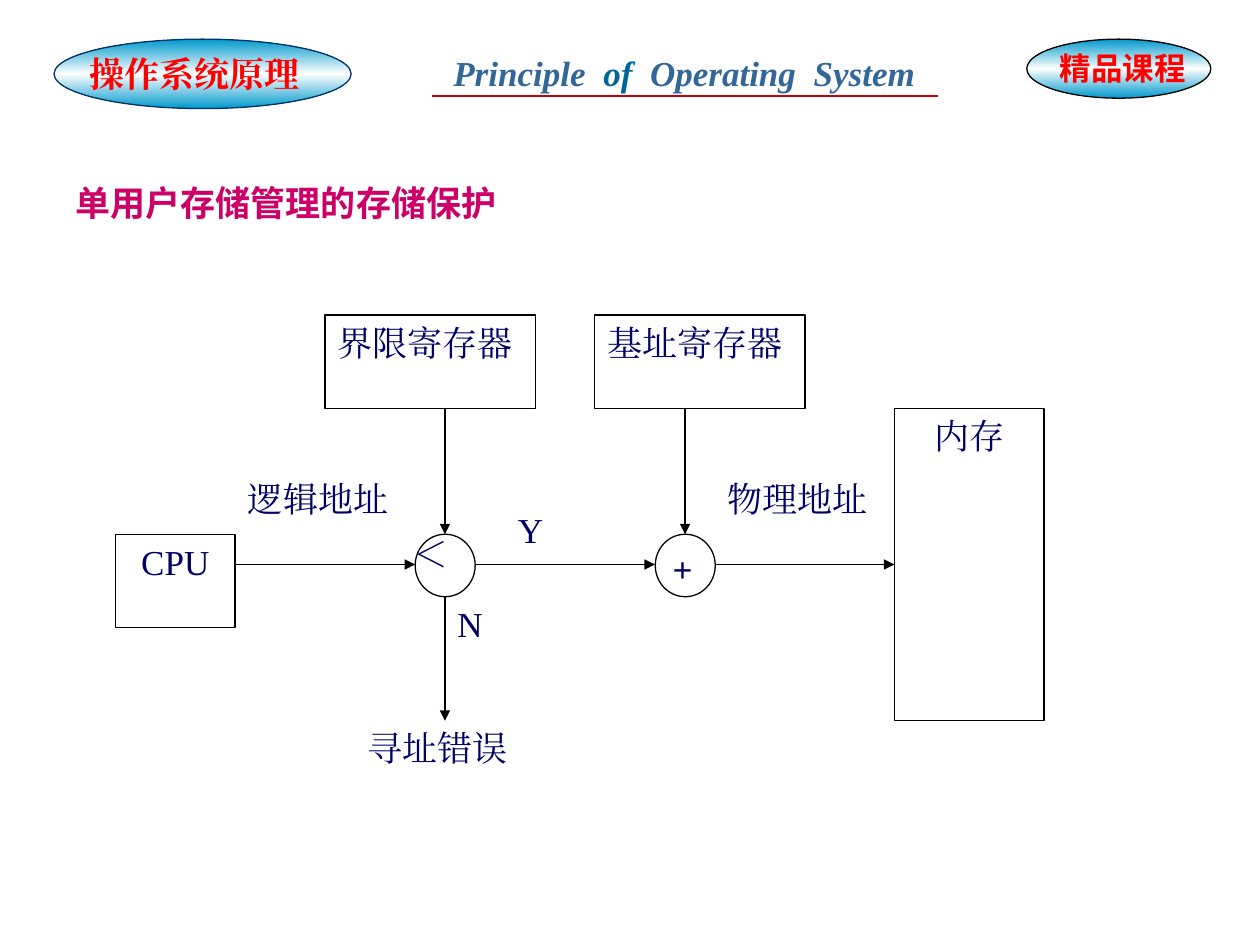
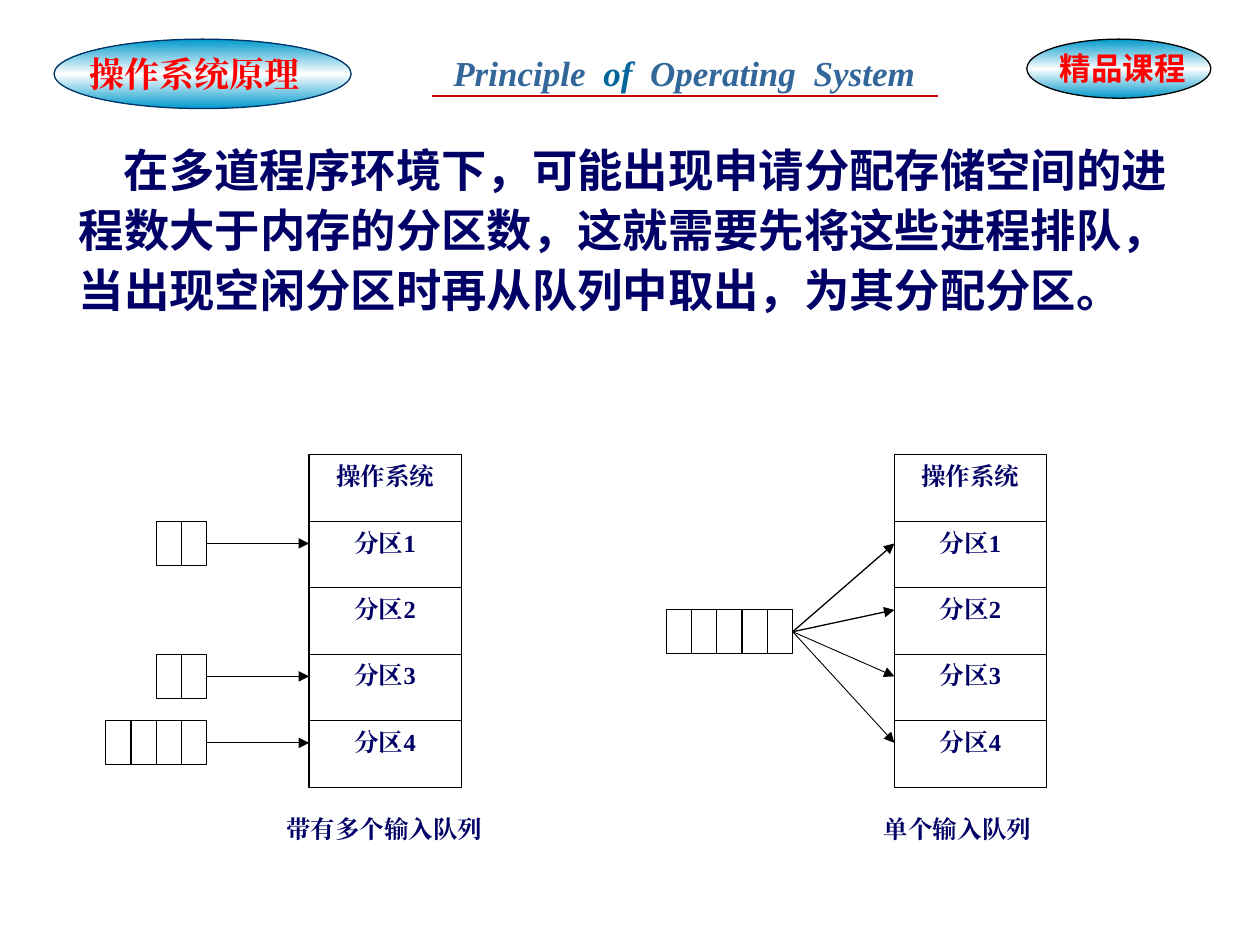
"""Build two slides on storage protection and partition queues."""
from copy import deepcopy

from lxml.etree import SubElement
from pptx import Presentation
from pptx.dml.color import RGBColor
from pptx.enum.shapes import MSO_CONNECTOR, MSO_SHAPE
from pptx.enum.text import MSO_ANCHOR, PP_ALIGN
from pptx.oxml.ns import qn
from pptx.util import Cm, Pt

NAVY, BLACK, RED, PINK = "000066", "000000", "FF0000", "CC0066"
AQUA, WHITE, STEEL, TEAL = "0099CC", "FFFFFF", "336699", "006699"
SERIF, SANS = "Times New Roman", "Noto Sans CJK SC"
ROW, CELL, DEEP = 1.34, 0.51, 0.89
TOP = 9.17


def tint(code):
    return RGBColor.from_string(code)


class Deck:
    def __init__(self):
        self.show = Presentation()
        self.show.slide_width, self.show.slide_height = Cm(25.4), Cm(19.05)
        self.slide = None

    def start(self, layout):
        self.slide = self.show.slides.add_slide(self.show.slide_layouts[layout])
        self.header()

    def style(self, run, size=20, color=NAVY, bold=False, face=SERIF, slant=False):
        font = run.font
        font.size, font.name = Pt(size), face
        font.bold, font.italic = bold, slant
        font.color.rgb = tint(color)
        SubElement(run._r.get_or_add_rPr(), qn("a:ea")).set("typeface", face)

    def fill_text(self, shape, text, align=PP_ALIGN.LEFT, **look):
        frame = shape.text_frame
        frame.text = text
        frame.word_wrap = True
        frame.vertical_anchor = MSO_ANCHOR.TOP
        para = frame.paragraphs[0]
        para.alignment = align
        for run in para.runs:
            self.style(run, **look)
        return para

    def label(self, text, x, y, w=3.63, h=1.88, **look):
        box = self.slide.shapes.add_textbox(Cm(x), Cm(y), Cm(w), Cm(h))
        return self.fill_text(box, text, **look)

    def shape(self, x, y, w, h, kind=MSO_SHAPE.RECTANGLE, edge=BLACK):
        item = self.slide.shapes.add_shape(kind, Cm(x), Cm(y), Cm(w), Cm(h))
        item.shadow.inherit = False
        item.fill.background()
        item.line.color.rgb = tint(edge)
        item.line.width = Pt(0.75)
        return item

    def box(self, text, x, y, w, h, align=PP_ALIGN.CENTER, **look):
        self.fill_text(self.shape(x, y, w, h), text, align, **look)

    def badge(self, x, y, w, h, edge):
        fill = self.shape(x, y, w, h, MSO_SHAPE.OVAL, edge).fill
        fill.gradient()
        fill.gradient_angle = 90
        first, last = fill.gradient_stops
        first.position, last.position = 0, 0.5
        first.color.rgb, last.color.rgb = tint(AQUA), tint(WHITE)
        end = deepcopy(first._gs)
        end.set("pos", "100000")
        last._gs.addnext(end)

    def line(self, start, end, color=BLACK, width=0.75, arrow=True):
        link = self.slide.shapes.add_connector(
            MSO_CONNECTOR.STRAIGHT, *map(Cm, start + end))
        link.line.color.rgb = tint(color)
        link.line.width = Pt(width)
        if arrow:
            SubElement(link.line._get_or_add_ln(), qn("a:tailEnd")).set("type", "triangle")
        SubElement(link._element.spPr, qn("a:effectLst"))

    def header(self):
        self.badge(1.09, 0.79, 5.99, 1.4, "003366")
        self.label("操作系统原理", 1.55, 0.94, 5.2, 1.12, color=RED, bold=True)
        para = self.label("", 8.89, 0.91, 10.3, 1.12)
        for word in ("Principle", " ", "of", " ", "Operating", " ", "System"):
            run = para.add_run()
            run.text = word
            self.style(run, color=TEAL if word == "of" else STEEL, bold=True, slant=True)
            if word == " ":
                run.font._element.set("spc", "500")
        self.line((8.71, 1.93), (18.9, 1.93), "CC0000", 1, False)
        self.badge(20.7, 0.79, 3.71, 1.19, BLACK)
        self.label("精品课程", 21.11, 0.86, 3.51, 1.02,
                   size=18, color=RED, bold=True, face="Arial")

    def title(self, text):
        head = self.slide.shapes.title
        head.left, head.top, head.width, head.height = map(Cm, (1.27, 3.53, 22.86, 3.51))
        self.fill_text(head, text, color=PINK, bold=True, face="Noto Sans CJK JP")

    def stack(self, x):
        names = ["操作系统"] + [f"分区{i}" for i in range(1, 5)]
        for i, name in enumerate(names):
            self.box(name, x, TOP + i * ROW, 3.07, ROW, size=14, bold=True)

    def queue(self, right, y, count):
        for i in range(count):
            self.shape(right - (count - i) * CELL, y, CELL, DEEP)


def guard(deck):
    deck.start(5)
    deck.title("单用户存储管理的存储保护")
    mid, less, plus = 11.38, 8.97, 13.81
    deck.box("CPU", 2.33, 10.77, 2.41, 1.88)
    deck.box("内存", 18.03, 8.23, 3.02, 6.3)
    for name, x in (("界限寄存器", 6.55), ("基址寄存器", 11.99)):
        deck.box(name, x, 6.35, 4.24, 1.88, PP_ALIGN.LEFT)
    for x in (less, plus):
        deck.shape(x - 0.6, 10.77, 1.21, 1.26, MSO_SHAPE.OVAL)
        deck.line((x, 8.23), (x, 10.77))
    for x, end in ((4.75, 8.37), (9.58, 13.2), (14.41, 18.03)):
        deck.line((x, mid), (end, mid))
    deck.line((less, 12.02), (less, 14.53))
    for text, x, y in (("＜", 8.08, 10.62), ("逻辑地址", 4.75, 9.5),
                       ("物理地址", 14.41, 9.5), ("Y", 10.19, 10.13),
                       ("N", 8.97, 12.02), ("寻址错误", 7.16, 14.53)):
        deck.label(text, x, y)
    deck.label("+", 13.31, 10.92, 1.6, 1.12, bold=True)


def queues(deck):
    deck.start(6)
    para = deck.label(
        "在多道程序环境下，可能出现申请分配存储空间的进程数大于内存的分区数，"
        "这就需要先将这些进程排队，当出现空闲分区时再从队列中取出，为其分配分区。",
        0.38, 2.62, 24.13, 3.94, size=25.9, bold=True, face=SANS)
    para.line_spacing = Pt(34.3)
    props = para._p.get_or_add_pPr()
    props.set("marL", str(Cm(0.96)))
    props.set("indent", str(Cm(0.91)))
    left, right, half = 6.23, 18.03, DEEP / 2
    for x in (left, right):
        deck.stack(x)
    for part, count in ((1, 2), (3, 2), (4, 4)):
        y = TOP + part * ROW
        deck.queue(4.17, y, count)
        deck.line((4.17, y + half), (left, y + half))
    deck.queue(15.98, 12.29, 5)
    for part in range(1, 5):
        deck.line((15.98, 12.29 + half), (right, TOP + part * ROW + half),
                  width=0.75 if part < 3 else 0.5)
    for text, x, w in (("带有多个输入队列", 3.15, 9.2), ("单个输入队列", 14.43, 9.75)):
        deck.label(text, x, 16.28, w, 1.35, align=PP_ALIGN.CENTER, size=14, bold=True)


def main():
    deck = Deck()
    guard(deck)
    queues(deck)
    deck.show.save("out.pptx")


if __name__ == "__main__":
    main()
